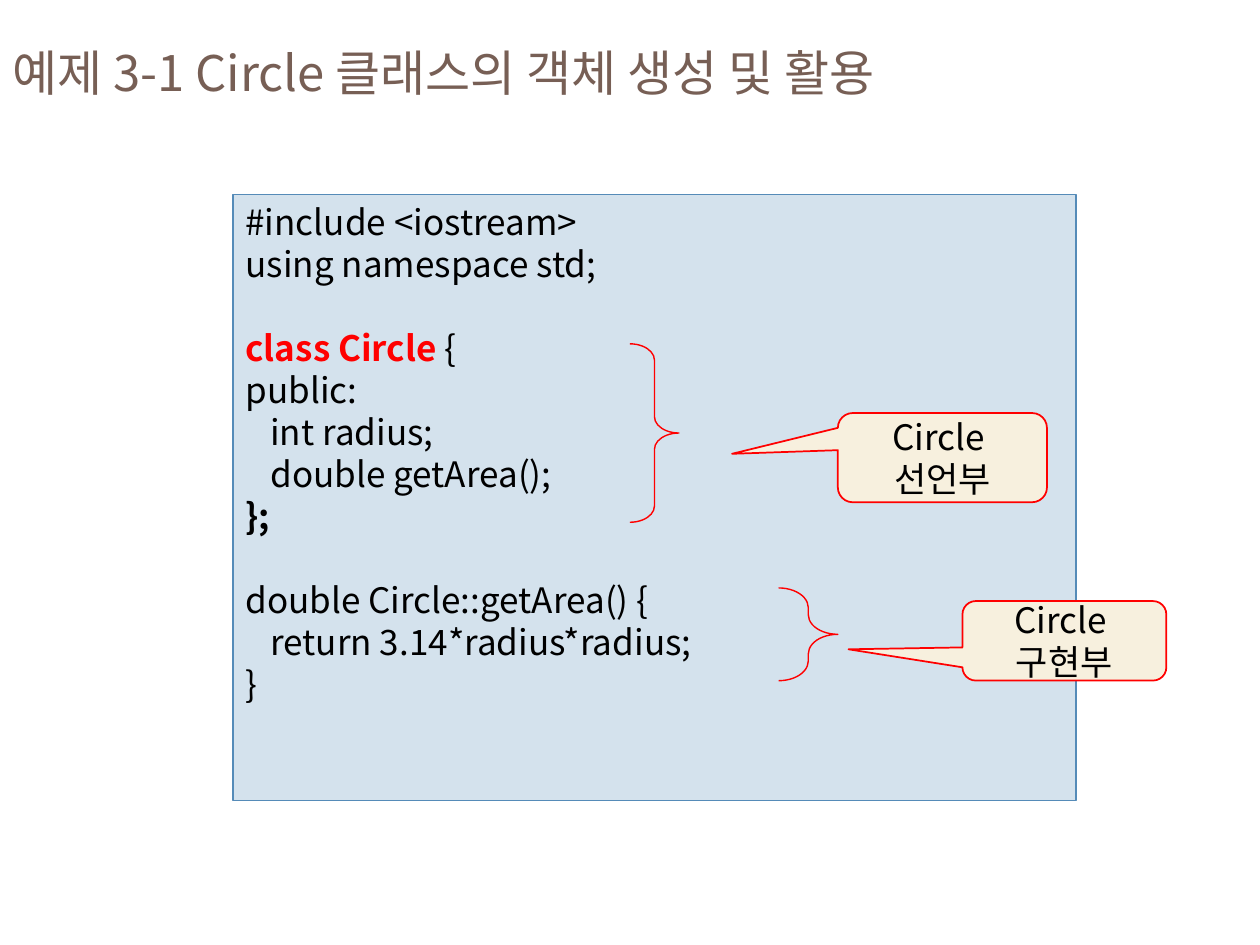
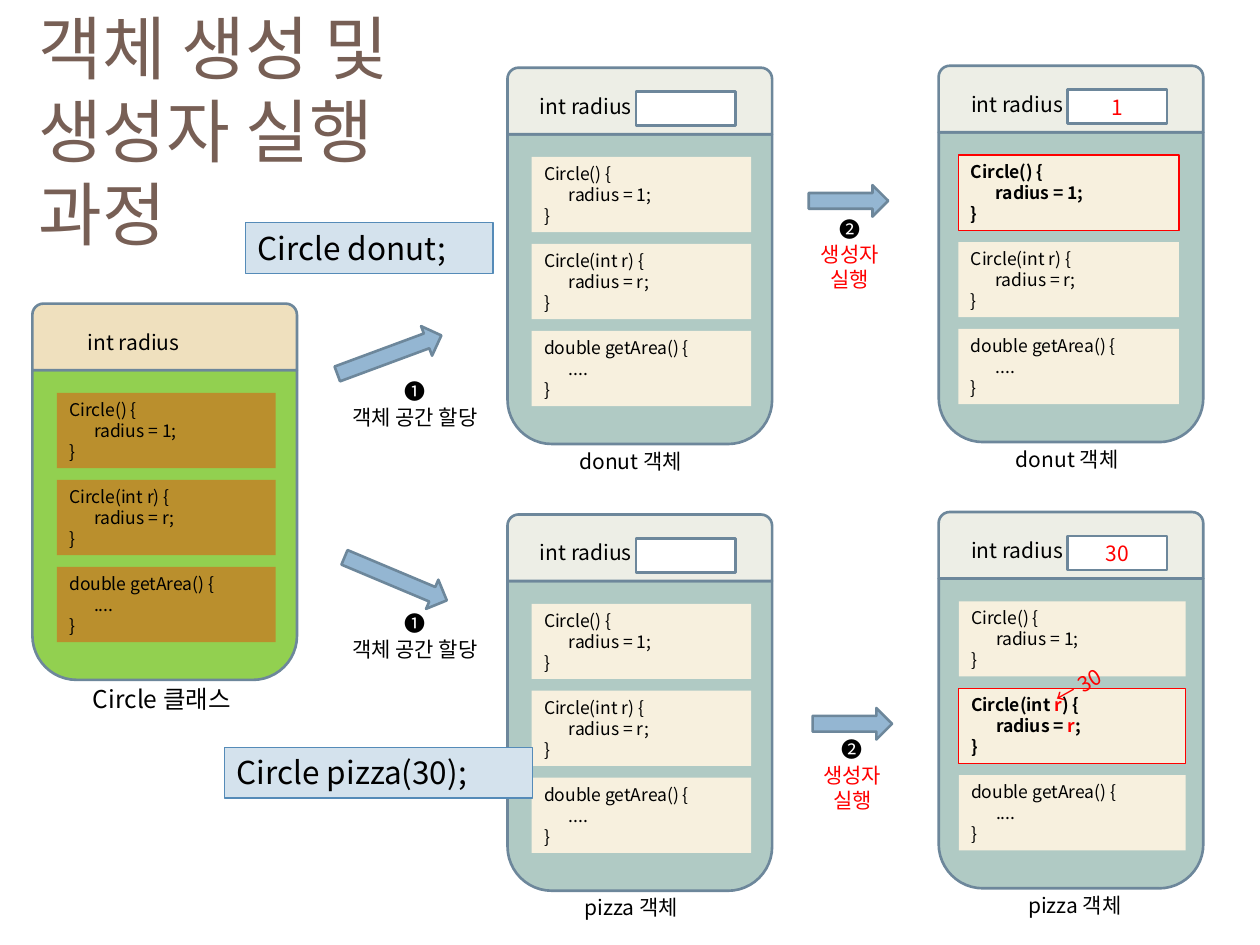
"""Build two slides on creating Circle objects and running their constructors."""
from lxml import etree
from pptx import Presentation
from pptx import util as u
from pptx.dml.color import RGBColor
from pptx.enum import shapes, text
from pptx.oxml.ns import qn

FONT = "Noto Sans CJK KR"
TAB_STOP = 14.2
COLORS = {
    "title": "775F55", "ink": "000000", "red": "FF0000", "white": "FFFFFF",
    "code": "D4E2ED", "code_line": "558BB8", "cream": "F7F0DE",
    "steel": "6D879B", "arrow": "94B6D2", "class_body": "92D050",
    "class_head": "EFE0BE", "class_member": "BA8F2D",
    "object_body": "B0CAC4", "object_head": "EDEEE6",
}
KIND = shapes.MSO_SHAPE
CENTER, LEFT = text.PP_ALIGN.CENTER, text.PP_ALIGN.LEFT
MIDDLE, TOP = text.MSO_ANCHOR.MIDDLE, text.MSO_ANCHOR.TOP


def add_box(page, kind, place, fill=None, line=None, width=1.5, adjust=(), turn=0):
    """Add a preset shape, or a text box when kind is None."""
    place = [u.Pt(length) for length in place]
    if kind is None:
        box = page.shapes.add_textbox(*place)
    else:
        box = page.shapes.add_shape(kind, *place)
        box.shadow.inherit = False
        for index, value in enumerate(adjust):
            box.adjustments[index] = value
        if fill:
            box.fill.solid()
            box.fill.fore_color.rgb = RGBColor.from_string(COLORS[fill])
        else:
            box.fill.background()
        if line:
            box.line.color.rgb = RGBColor.from_string(COLORS[line])
            box.line.width = u.Pt(width)
        else:
            box.line.fill.background()
    box.rotation = turn
    return box


def write(box, lines, size=12, color="ink", bold=False, align=LEFT, anchor=TOP, gaps=()):
    """Write lines made of strings or (text, color, bold) spans; gaps are line indexes."""
    frame = box.text_frame
    frame.word_wrap = True
    frame.vertical_anchor = anchor
    for index, line in enumerate(lines):
        para = frame.paragraphs[0] if index == 0 else frame.add_paragraph()
        para.alignment = align
        para.line_spacing = u.Pt(size * 1.2)
        if index in gaps:
            para.space_before = u.Pt(size * 1.2)
        spans = [(line, color, bold)] if isinstance(line, str) else line
        if spans[0][0].startswith("\t"):
            tabs = etree.SubElement(para._p.get_or_add_pPr(), qn("a:tabLst"))
            etree.SubElement(tabs, qn("a:tab"), pos=str(u.Pt(TAB_STOP)), algn="l")
        for words, span_color, span_bold in spans:
            span = para.add_run()
            span.text = words
            span.font.size = u.Pt(size)
            span.font.name = FONT
            span.font.bold = span_bold
            span.font.color.rgb = RGBColor.from_string(COLORS[span_color])
            latin = span.font._element.find(qn("a:latin"))
            latin.addnext(etree.Element(qn("a:ea"), typeface=FONT))


deck = Presentation()
deck.slide_width, deck.slide_height = u.Pt(720), u.Pt(540)
blank = deck.slide_layouts[6]

page = deck.slides.add_slide(blank)
title = add_box(page, None, (0, 14.4, 797, 53.3))
write(title, ["예제 3-1 Circle 클래스의 객체 생성 및 활용"], size=28, color="title", anchor=MIDDLE)

listing = add_box(page, KIND.RECTANGLE, (133.2, 111, 481.7, 346.3), "code", "code_line", 0.75)
write(listing, [
    "#include <iostream>",
    "using namespace std;",
    [("class Circle ", "red", True), ("{", "ink", False)],
    "public:",
    "\tint radius;",
    "\tdouble getArea();",
    [("};", "ink", True)],
    "double Circle::getArea() {",
    "\treturn 3.14*radius*radius;",
    "}",
], size=20, gaps=(2, 7))

for part, place, tip in (
    ("선언부", (478.8, 236, 119.5, 51), (-1.006, -0.043, 0.167)),
    ("구현부", (550, 343.5, 116.5, 45.4), (-1.059, 0.107, 0.167)),
):
    callout = add_box(page, KIND.ROUNDED_RECTANGULAR_CALLOUT, place, "cream", "red", 1, tip)
    write(callout, ["Circle ", part], size=20, align=CENTER, anchor=MIDDLE)

for place in ((360, 196.5, 28, 102), (445, 336, 33.8, 53)):
    add_box(page, KIND.RIGHT_BRACE, place, None, "red", 0.79, (0.332, 0.5))

page = deck.slides.add_slide(blank)
title = add_box(page, None, (15, 37.4, 257.8, 73.4))
write(title, ["객체 생성 및", "생성자 실행 과정"], size=39.6, color="title", anchor=MIDDLE)

members = (
    ["Circle() {", "\tradius = 1;", "}"],
    ["Circle(int r) {", "\tradius = r;", "}"],
    ["double getArea() {", "\t....", "}"],
)
argument_member = [
    [("Circle(int ", "ink", True), ("r", "red", True), (") {", "ink", True)],
    [("\tradius = ", "ink", True), ("r", "red", True), (";", "ink", True)],
    "}",
]
CARD_WIDTH, HEAD_HEIGHT, BODY_HEIGHT = 151.2, 38, 177
MEMBER_TOP, MEMBER_STEP, MEMBER_HEIGHT = 51, 49.7, 43
cards = (
    ("Circle 클래스", "class", 18.5, 173.5, 14, 125, 27.5, None, None),
    ("donut 객체", "object", 290, 38.7, 13.8, 125.5, 34, "", None),
    ("donut 객체", "object", 536.4, 37.6, 11.3, 126, 37, "1", 0),
    ("pizza 객체", "object", 290, 294, 13.8, 125.5, 37, "", None),
    ("pizza 객체", "object", 536.4, 292.6, 11.5, 129.6, 44, "30", 1),
)
for caption, role, left, top, inset, member_width, caption_left, value, active in cards:
    is_class = role == "class"
    add_box(page, KIND.ROUND_2_SAME_RECTANGLE, (left, top + HEAD_HEIGHT, CARD_WIDTH, BODY_HEIGHT),
            role + "_body", "steel", adjust=(0.167, 0), turn=180)
    add_box(page, KIND.ROUND_2_SAME_RECTANGLE, (left, top, CARD_WIDTH, HEAD_HEIGHT),
            role + "_head", "steel", adjust=(0.167, 0))
    field = add_box(page, None, (left + (24.5 if is_class else 11.5), top + 11, 72, 21.6))
    write(field, ["int radius"])
    if value is not None:
        slot = add_box(page, KIND.RECTANGLE, (left + 73.5, top + 13.7, 57, 19.4), "white", "steel")
        if value:
            write(slot, [value], color="red", align=CENTER, anchor=MIDDLE)
    for index, lines in enumerate(members):
        is_active = index == active
        place = (left + inset, top + MEMBER_TOP + index * MEMBER_STEP, member_width, MEMBER_HEIGHT)
        member = add_box(page, KIND.RECTANGLE, place, "class_member" if is_class else "cream",
                         "red" if is_active else None, 0.75)
        if is_active and value == "30":
            lines = argument_member
        write(member, lines, size=10, bold=is_active)
    label = add_box(page, None, (left + caption_left, top + 213.8, 124 if is_class else 81, 22))
    write(label, [caption], size=14 if is_class else 12)

for statement, place in (
    ("Circle donut;", (140.2, 127.2, 141.6, 29)),
    ("Circle pizza(30);", (128.2, 427, 176, 29)),
):
    code = add_box(page, KIND.RECTANGLE, place, "code", "code_line", 0.75)
    write(code, [statement], size=18)

for place, turn in (
    ((190.8, 193.7, 63.4, 18), 339.7),
    ((194.4, 321.8, 63.4, 18), 22.8),
    ((462.2, 105.8, 45.4, 18), 0),
    ((464.4, 404.6, 45.4, 18), 0),
):
    add_box(page, KIND.RIGHT_ARROW, place, "arrow", "steel", turn=turn)

for top in (213, 345.6):
    step = add_box(page, None, (184.3, top, 105.8, 36))
    write(step, ["❶", "객체 공간 할당"], align=CENTER)

for left, top in ((460, 120.2), (461.5, 417.6)):
    step = add_box(page, None, (left, top, 51.2, 50.4))
    write(step, [[("❷", "ink", False)], "생성자", "실행"], color="red", align=CENTER)

argument = add_box(page, None, (594.7, 380.9, 45.4, 21.6), turn=330.7)
write(argument, ["← 30"], color="red")

deck.save("out.pptx")
